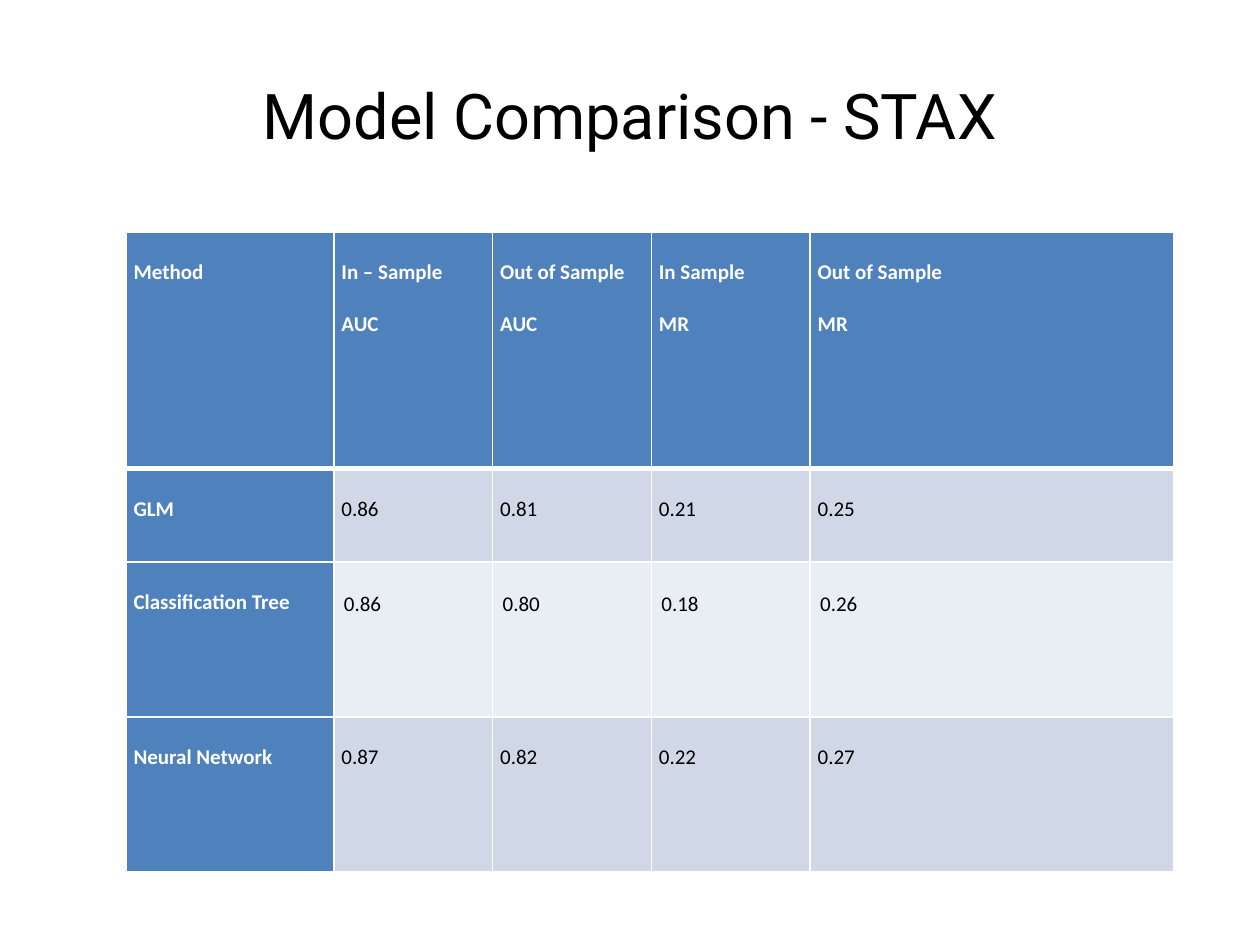
from lxml.etree import SubElement
from pptx import Presentation
from pptx.dml.color import RGBColor
from pptx.enum.text import MSO_ANCHOR, PP_ALIGN
from pptx.oxml.ns import qn
from pptx.util import Inches, Pt

# Content
TITLE = "Model Comparison - STAX"
ROWS = [
    ["Method ", "In – Sample \nAUC", "Out of Sample \nAUC",
     "In Sample\nMR", "Out of Sample\nMR"],
    ["GLM ", "0.86", "0.81", "0.21", "0.25"],
    ["Classification Tree ", "0.86", "0.80", "0.18", "0.26"],
    ["Neural Network ", "0.87", "0.82", "0.22", "0.27"],
]
WIDTHS = [1.65, 1.26, 1.26, 1.26, 2.89]
HEIGHTS = [1.88, 0.74, 1.23, 1.23]
COLORS = {"head": "4F81BD", "odd": "D0D8E8", "even": "E9EDF4",
          "light": "FFFFFF", "dark": "000000"}


def color(name):
    return RGBColor.from_string(COLORS[name])


def add_edges(cell, base):
    props = cell._tc.get_or_add_tcPr()
    for side in "LRTB":
        width = base if side == "B" else 1
        line = SubElement(props, qn("a:ln" + side), w=str(Pt(width)))
        fill = SubElement(line, qn("a:solidFill"))
        SubElement(fill, qn("a:srgbClr"), val=COLORS["light"])


def fill_cell(cell, text, row, col):
    head = row == 0 or col == 0
    wide = row == 2 and col > 0
    add_edges(cell, 3 if row == 0 else 1)
    cell.fill.solid()
    cell.fill.fore_color.rgb = color(
        "head" if head else "odd" if row % 2 else "even")
    cell.margin_left = cell.margin_right = Inches(0.08 if wide else 0.06)
    cell.margin_top = Inches(0.03 if wide else 0.02)
    cell.margin_bottom = 0
    cell.text = text
    for para in cell.text_frame.paragraphs:
        para.alignment = PP_ALIGN.JUSTIFY
        para.line_spacing = 2.0
        para.font.name = "Calibri"
        para.font.size = Pt(12)
        para.font.bold = head
        para.font.color.rgb = color("light" if head else "dark")


# Slide
deck = Presentation()
deck.slide_width, deck.slide_height = Inches(10), Inches(7.5)
slide = deck.slides.add_slide(deck.slide_layouts[5])

# Title
title = slide.shapes.title
title.left, title.top = Inches(0.5), Inches(0.28)
title.width, title.height = Inches(9), Inches(1.25)
title.text = TITLE
title.text_frame.vertical_anchor = MSO_ANCHOR.MIDDLE
para = title.text_frame.paragraphs[0]
para.alignment = PP_ALIGN.CENTER
para.font.name = "Roboto"
para.font.size = Pt(36)
para.font.color.rgb = color("dark")

# Table
table = slide.shapes.add_table(
    len(ROWS), len(WIDTHS), Inches(1), Inches(1.84),
    Inches(sum(WIDTHS)), Inches(sum(HEIGHTS))).table
table.first_col = True
for col, width in enumerate(WIDTHS):
    table.columns[col].width = Inches(width)
for row, texts in enumerate(ROWS):
    table.rows[row].height = Inches(HEIGHTS[row])
    for col, text in enumerate(texts):
        fill_cell(table.cell(row, col), text, row, col)

deck.save("out.pptx")
